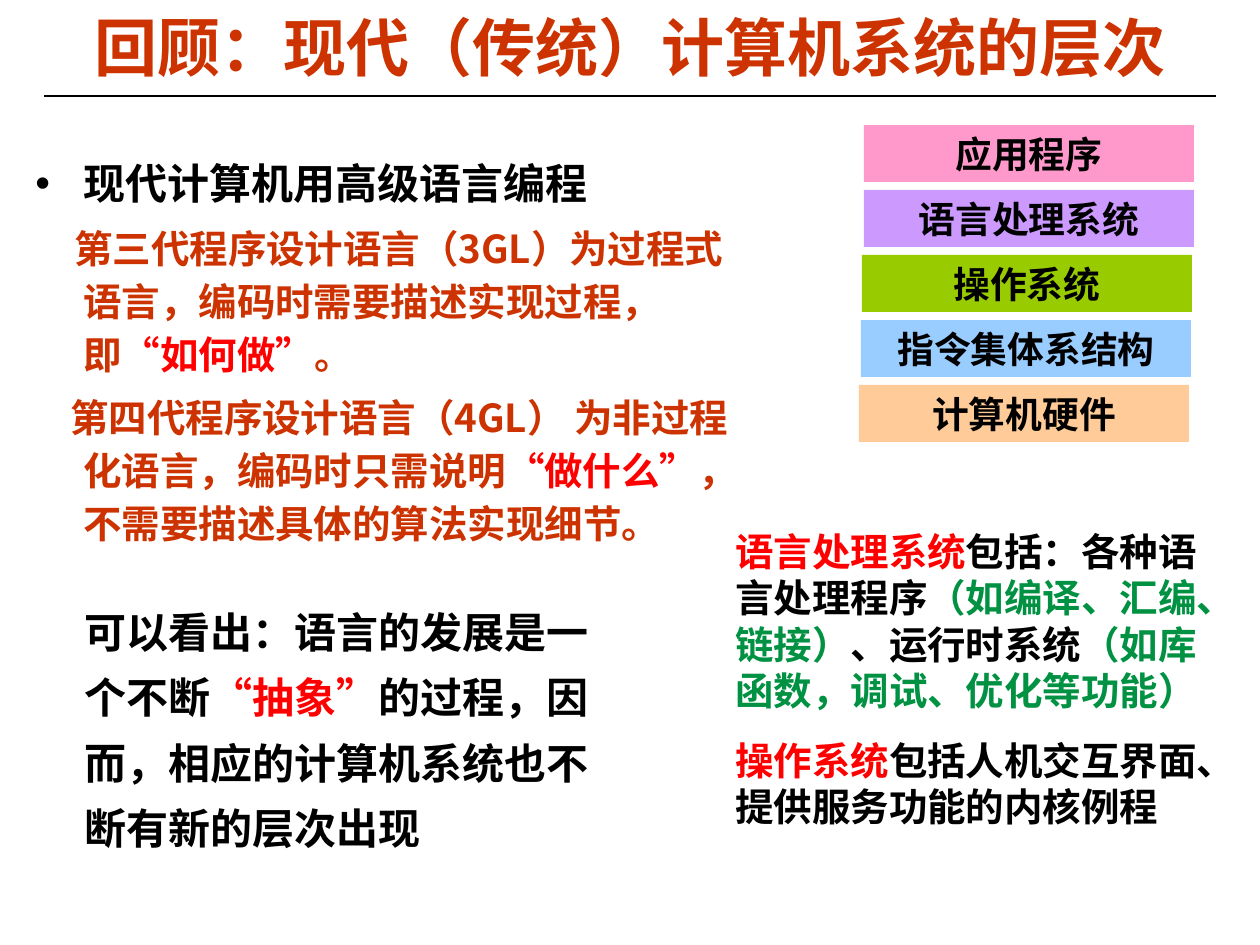
from pptx import Presentation
from pptx import util as u
from pptx.dml.color import RGBColor
from pptx.enum import shapes, text
from pptx.oxml.ns import qn
from lxml import etree

PX = 914400 // 126
SANS, CJK = "Arial", "Noto Sans CJK SC"
BLACK, RUST, RED, GREEN = "000000", "CC3300", "FF0000", "009242"

# Content: each paragraph is a list of (text, colour)
TITLE = [[("回顾：现代（传统）计算机系统的层次", RUST)]]
LANGUAGES = [
    [("现代计算机用高级语言编程", BLACK)],
    [("第三代程序设计语言（3GL）为过程式语言，编码时需要描述实现过程，即", RUST),
     ("“如何做”", RED), ("。", RUST)],
    [("第四代程序设计语言（4GL） 为非过程化语言，编码时只需说明", RUST),
     ("“做什么”", RED), ("，不需要描述具体的算法实现细节。", RUST)],
]
CONCLUSION = [[
    ("可以看出：语言的发展是一个不断", BLACK), ("“抽象”", RED),
    ("的过程，因而，相应的计算机系统也不断有新的层次出现", BLACK),
]]
SYSTEMS = [
    [("语言处理系统", RED), ("包括：各种语言处理程序", BLACK),
     ("（如编译、汇编、链接）", GREEN), ("、运行时系统", BLACK),
     ("（如库函数，调试、优化等功能）", GREEN)],
    [("操作系统", RED), ("包括人机交互界面、提供服务功能的内核例程", BLACK)],
]
LAYERS = [  # name, fill, left
    ("应用程序", "FF99CC", 864),
    ("语言处理系统", "CC99FF", 864),
    ("操作系统", "99CC00", 862),
    ("指令集体系结构", "99CCFF", 861),
    ("计算机硬件", "FFCC99", 859),
]
LAYER_TOP, LAYER_PITCH, LAYER_WIDTH, LAYER_HEIGHT = 125, 65, 330, 57


def px(*lengths):
    return [length * PX for length in lengths]


def colour(value):
    return RGBColor.from_string(value)


def write(frame, content, size, font=SANS, align=None, line=None, gap=0):
    frame.word_wrap = True
    for i, parts in enumerate(content):
        para = frame.paragraphs[0] if i == 0 else frame.add_paragraph()
        para.alignment = align
        para.line_spacing = line
        para.space_before = u.Pt(gap if i else 0)
        for words, shade in parts:
            span = para.add_run()
            span.text = words
            span.font.size = u.Pt(size)
            span.font.bold = True
            span.font.color.rgb = colour(shade)
            span.font.name = CJK if "“" in words else font
            east = etree.SubElement(span.font._element, qn("a:ea"))
            east.set("typeface", CJK)


def add_text(page, place, content, size, **style):
    box = page.shapes.add_textbox(*px(*place))
    write(box.text_frame, content, size, **style)
    return box


deck = Presentation()
deck.slide_width, deck.slide_height = px(1260, 945)
page = deck.slides.add_slide(deck.slide_layouts[6])

# Title and rule
title = add_text(page, (63, 8, 1134, 77), TITLE, 36, align=text.PP_ALIGN.CENTER)
title.text_frame.vertical_anchor = text.MSO_ANCHOR.MIDDLE
rule = page.shapes.add_connector(shapes.MSO_CONNECTOR.STRAIGHT, *px(44, 96, 1216, 96))
rule.line.color.rgb = colour(BLACK)
rule.line.width = u.Pt(0.75)
etree.SubElement(rule._element.spPr, qn("a:effectLst"))

# Language generations: one bullet, then two hanging paragraphs
body = add_text(page, (23, 144, 745, 564), LANGUAGES, 22, font=CJK, line=1.15, gap=5.5)
for para, indent in zip(body.text_frame.paragraphs, (-48, -9, -13)):
    props = para._p.get_or_add_pPr()
    props.set("marL", str(48 * PX))
    props.set("indent", str(indent * PX))
heading = body.text_frame.paragraphs[0]
heading.runs[0].font.size = u.Pt(24)
props = heading._p.get_or_add_pPr()
etree.SubElement(props, qn("a:buFont")).set("typeface", SANS)
etree.SubElement(props, qn("a:buChar")).set("char", "•")

# Stack of system layers
for i, (name, fill, left) in enumerate(LAYERS):
    place = (left, LAYER_TOP + i * LAYER_PITCH, LAYER_WIDTH, LAYER_HEIGHT)
    layer = page.shapes.add_shape(shapes.MSO_SHAPE.RECTANGLE, *px(*place))
    layer.shadow.inherit = False
    layer.fill.solid()
    layer.fill.fore_color.rgb = colour(fill)
    layer.line.fill.background()
    write(layer.text_frame, [[(name, BLACK)]], 21, align=text.PP_ALIGN.CENTER)

# Remarks below
add_text(page, (72, 585, 546, 275), CONCLUSION, 24, line=1.3)
add_text(page, (723, 522, 509, 314), SYSTEMS, 22, gap=13.8)

deck.save("out.pptx")
